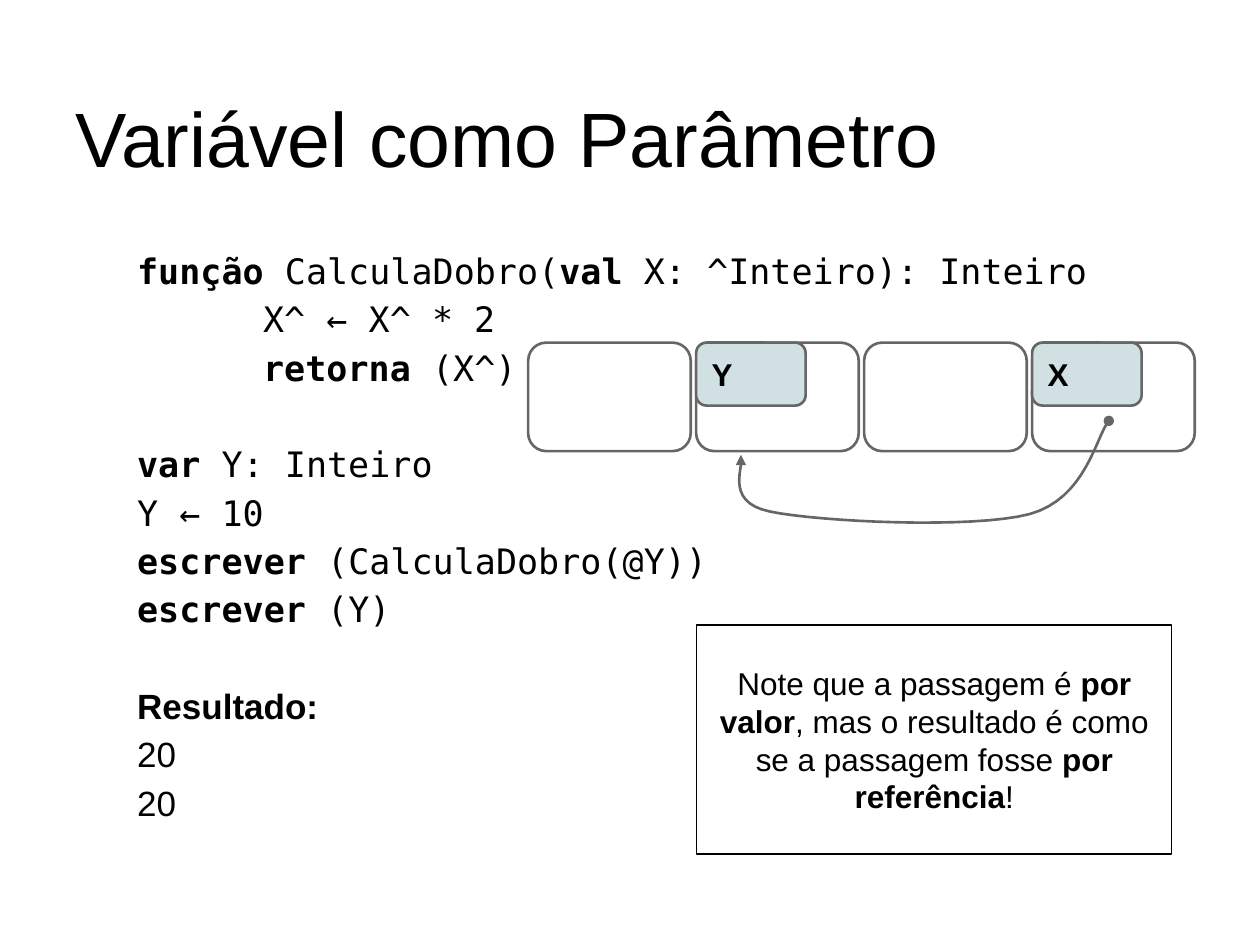
from dataclasses import dataclass
from typing import NamedTuple

from lxml import etree
from pptx import Presentation
from pptx.dml.color import RGBColor
from pptx.enum.shapes import MSO_SHAPE
from pptx.enum.text import MSO_ANCHOR, PP_ALIGN
from pptx.oxml.ns import qn
from pptx.util import Pt

ROUND = MSO_SHAPE.ROUNDED_RECTANGLE
RECT = MSO_SHAPE.RECTANGLE
TOP, MID, LOW = MSO_ANCHOR.TOP, MSO_ANCHOR.MIDDLE, MSO_ANCHOR.BOTTOM
LEFT, MIDST = PP_ALIGN.LEFT, PP_ALIGN.CENTER


@dataclass(frozen=True)
class Theme:
    ink: RGBColor = RGBColor(0, 0, 0)
    paper: RGBColor = RGBColor(255, 255, 255)
    edge: RGBColor = RGBColor(0x66, 0x66, 0x66)
    tint: RGBColor = RGBColor(0xD0, 0xE0, 0xE3)
    sans: str = "Arial"
    mono: str = "DejaVu Sans Mono"
    title: int = 44
    code: int = 20
    note: int = 18
    inset: float = 7.2
    thin: float = 0.75
    line: float = 1.5


class Box(NamedTuple):
    x: float
    y: float
    w: float
    h: float


class Run(NamedTuple):
    text: str
    bold: bool = False


@dataclass(frozen=True)
class Para:
    runs: tuple[Run, ...]
    font: str
    size: int
    left: float = 0
    gap: float = 0
    lead: float = 1.0
    align: PP_ALIGN = LEFT


THEME = Theme()
STEP, GAP = 36, 27.6
CELL = Box(301.8, 195.8, 92.9, 62)
PITCH = 96
TAG = (62.6, 36)
CELLS = ("", "Y", "", "X")
START = (633.6, 240.5)
CURVES = (
    ((626.4, 249.1), (620.6, 285.1), (588.2, 293.8)),
    ((555.8, 302.4), (467.3, 298.1), (439.9, 292.3)),
    ((412.6, 286.6), (426.2, 265), (423.4, 259.9)),
)


def code(*runs: Run, deep: int = 1, gap: float = 0,
         font: str = THEME.mono) -> Para:
    return Para(runs, font, THEME.code, STEP * deep, gap, 1.15)


CODE = (
    code(Run("função ", True), Run("CalculaDobro("), Run("val", True),
         Run(" X: ^Inteiro): Inteiro")),
    code(Run("X^ ← X^ * 2"), deep=3),
    code(Run("retorna ", True), Run("(X^)"), deep=3),
    code(Run("var ", True), Run("Y: Inteiro"), gap=GAP),
    code(Run("Y ← 10")),
    code(Run("escrever ", True), Run("(CalculaDobro(@Y))")),
    code(Run("escrever ", True), Run("(Y)")),
    code(Run("Resultado:", True), gap=GAP, font=THEME.sans),
    code(Run("20"), font=THEME.sans),
    code(Run("20"), font=THEME.sans),
)
TITLE = Para((Run("Variável como Parâmetro"),), THEME.sans, THEME.title)
NOTE = Para(
    (Run("Note que a passagem é "), Run("por valor", True),
     Run(", mas o resultado é como se a passagem fosse "),
     Run("por referência", True), Run("!")),
    THEME.sans, THEME.note, align=MIDST)


def write(shape, paras: tuple[Para, ...], anchor: MSO_ANCHOR) -> None:
    frame = shape.text_frame
    frame.word_wrap = True
    frame.vertical_anchor = anchor
    frame.margin_left = frame.margin_right = Pt(THEME.inset)
    frame.margin_top = frame.margin_bottom = Pt(THEME.inset)
    for i, para in enumerate(paras):
        line = frame.add_paragraph() if i else frame.paragraphs[0]
        line.alignment = para.align
        line.line_spacing = para.lead
        line.space_before = Pt(para.gap)
        props = line._p.get_or_add_pPr()
        props.set("marL", str(Pt(para.left)))
        props.set("indent", "0")
        for part in para.runs:
            run = line.add_run()
            run.text = part.text
            font = run.font
            font.name, font.size, font.bold = para.font, Pt(para.size), part.bold
            font.color.rgb = THEME.ink


def label(slide, box: Box, paras: tuple[Para, ...], anchor: MSO_ANCHOR) -> None:
    write(slide.shapes.add_textbox(*map(Pt, box)), paras, anchor)


def panel(slide, kind: MSO_SHAPE, box: Box, edge: RGBColor, width: float,
          fill: RGBColor | None = None):
    shape = slide.shapes.add_shape(kind, *map(Pt, box))
    shape.shadow.inherit = False
    if fill is None:
        shape.fill.background()
    else:
        shape.fill.solid()
        shape.fill.fore_color.rgb = fill
    shape.line.color.rgb = edge
    shape.line.width = Pt(width)
    return shape


def cell(slide, i: int, name: str) -> None:
    box = CELL._replace(x=CELL.x + i * PITCH)
    panel(slide, ROUND, box, THEME.edge, THEME.line)
    if name:
        tag = panel(slide, ROUND, Box(box.x, box.y, *TAG), THEME.edge,
                    THEME.line, THEME.tint)
        write(tag, (Para((Run(name, True),), THEME.sans, THEME.note),), MID)


def trace(steps: int = 16) -> list[tuple[float, float]]:
    dots, last = [], START
    for one, two, end in CURVES:
        for k in range(1, steps + 1):
            t = k / steps
            u = 1 - t
            dots.append(tuple(
                u**3 * a + 3 * u * u * t * b + 3 * u * t * t * c + t**3 * d
                for a, b, c, d in zip(last, one, two, end)))
        last = end
    return dots


def arrow(slide) -> None:
    pen = slide.shapes.build_freeform(*map(Pt, START))
    pen.add_line_segments([(Pt(x), Pt(y)) for x, y in trace()], close=False)
    shape = pen.convert_to_shape()
    shape.shadow.inherit = False
    shape.fill.background()
    shape.line.color.rgb = THEME.edge
    shape.line.width = Pt(THEME.line)
    stroke = shape.line._get_or_add_ln()
    for side, kind in (("a:headEnd", "oval"), ("a:tailEnd", "triangle")):
        etree.SubElement(stroke, qn(side), type=kind)


def main() -> None:
    deck = Presentation()
    deck.slide_width, deck.slide_height = Pt(720), Pt(540)
    slide = deck.slides.add_slide(deck.slide_layouts[6])
    label(slide, Box(36, 21.6, 648, 90), (TITLE,), LOW)
    label(slide, Box(35.3, 131.8, 648.7, 365), CODE, TOP)
    for i, name in enumerate(CELLS):
        cell(slide, i, name)
    arrow(slide)
    note = panel(slide, RECT, Box(398.2, 357.1, 271.4, 131), THEME.ink,
                 THEME.thin, THEME.paper)
    write(note, (NOTE,), MID)
    deck.save("out.pptx")


if __name__ == "__main__":
    main()
